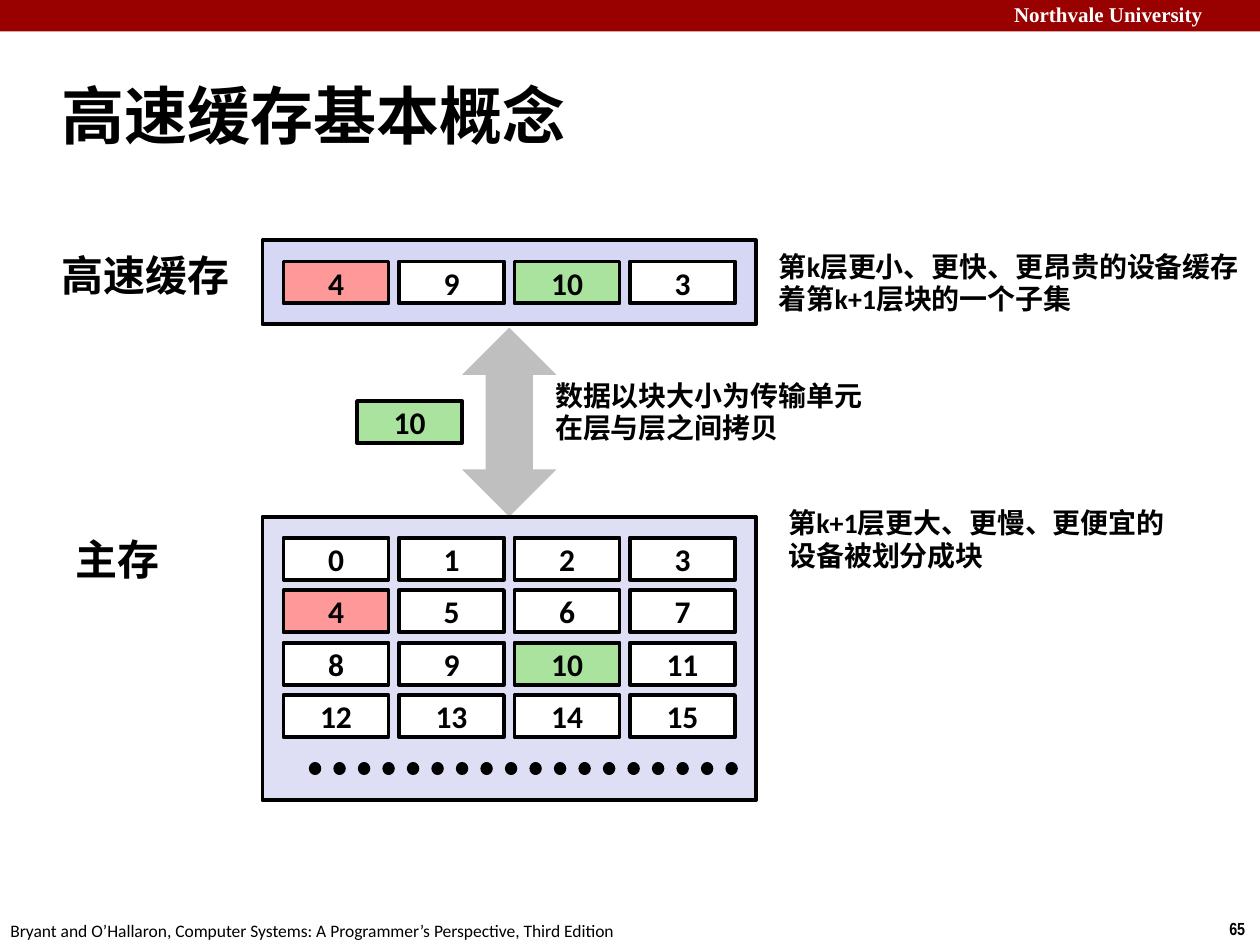
from dataclasses import dataclass

from lxml import etree
from pptx import Presentation
from pptx.dml.color import RGBColor
from pptx.enum.dml import MSO_LINE
from pptx.enum.shapes import MSO_CONNECTOR, MSO_SHAPE
from pptx.enum.text import MSO_ANCHOR, PP_ALIGN
from pptx.oxml.ns import qn
from pptx.util import Pt

RECTANGLE, DOUBLE_ARROW = MSO_SHAPE.RECTANGLE, MSO_SHAPE.UP_DOWN_ARROW
STRAIGHT, ROUND_DOT = MSO_CONNECTOR.STRAIGHT, MSO_LINE.ROUND_DOT
TOP, MIDDLE = MSO_ANCHOR.TOP, MSO_ANCHOR.MIDDLE
LEFT, CENTER = PP_ALIGN.LEFT, PP_ALIGN.CENTER


@dataclass(frozen=True)
class Theme:
    black: str = "000000"
    white: str = "FFFFFF"
    banner: str = "990000"
    arrow: str = "BFBFBF"
    cache: str = "D6D6F5"
    memory: str = "DEDFF5"
    red: str = "FF9999"
    green: str = "A9E39D"
    body_font: str = "Calibri"
    header_font: str = "Times New Roman"
    number_font: str = "Arial Narrow"
    title_size: int = 36
    label_size: int = 24
    block_size: int = 18
    note_size: int = 16
    header_size: int = 12
    footer_size: int = 10
    outline: float = 2.25
    dots: int = 7


THEME = Theme()
EMU_PER_PX = 7620
SLIDE_SIZE = (1200, 900)

HEADER = ("Northvale University", (954, -4, 254, 36))
PAGE_NUMBER = ("65", (1159, 868, 41, 32))
FOOTER = (
    "Bryant and O’Hallaron, Computer Systems: A Programmer’s Perspective, Third Edition",
    (-2, 870, 611, 32),
)
TITLE = ("高速缓存基本概念", (47, 59, 996, 100))
LABELS = [("高速缓存", (47, 232, 184, 60)), ("主存", (60, 502, 104, 60))]
NOTES = [
    ("第k层更小、更快、更昂贵的设备缓存\n着第k+1层块的一个子集", (730, 232, 463, 76)),
    ("数据以块大小为传输单元\n在层与层之间拷贝", (517, 356, 372, 74)),
    ("第k+1层更大、更慢、更便宜的\n设备被划分成块", (739, 476, 383, 76)),
]

CACHE_BLOCKS = [[4, 9, 10, 3]]
MEMORY_BLOCKS = [[0, 1, 2, 3], [4, 5, 6, 7], [8, 9, 10, 11], [12, 13, 14, 15]]
BLOCK_FILLS = {4: THEME.red, 10: THEME.green}
BANNER_BOX = (0, 0, 1200, 30)
CACHE_BOX = (250, 229, 470, 80)
MEMORY_BOX = (250, 492, 470, 270)
ARROW_BOX = (440, 312, 90, 180)
MOVING_BLOCK = (10, 340, 382)
DOTTED_LINE = (300, 732, 700, 732)
BLOCK_SIZE = (100, 40)
BLOCK_GAP = 10
PANEL_PADDING = 20


def px(*lengths):
    return [length * EMU_PER_PX for length in lengths]


def color(value):
    return RGBColor.from_string(value)


def write_text(shape, text, size, font=THEME.body_font, fill=THEME.black, bold=True,
               align=LEFT, anchor=TOP, wrap=True, spacing=None):
    frame = shape.text_frame
    frame.word_wrap = wrap
    frame.vertical_anchor = anchor
    frame.text = text
    for paragraph in frame.paragraphs:
        paragraph.alignment = align
        paragraph.line_spacing = spacing
        for run in paragraph.runs:
            run.font.size = Pt(size)
            run.font.name = font
            run.font.bold = bold
            run.font.color.rgb = color(fill)


def add_text(slide, item, size, **text_format):
    text, box = item
    write_text(slide.shapes.add_textbox(*px(*box)), text, size, **text_format)


def add_box(slide, box, fill, kind=RECTANGLE, outlined=True):
    shape = slide.shapes.add_shape(kind, *px(*box))
    shape.shadow.inherit = False
    shape.fill.solid()
    shape.fill.fore_color.rgb = color(fill)
    if outlined:
        shape.line.color.rgb = color(THEME.black)
        shape.line.width = Pt(THEME.outline)
    else:
        shape.line.fill.background()
    return shape


def add_block(slide, number, left, top):
    fill = BLOCK_FILLS.get(number, THEME.white)
    block = add_box(slide, (left, top, *BLOCK_SIZE), fill)
    write_text(block, str(number), THEME.block_size, align=CENTER, anchor=MIDDLE)


def add_panel(slide, box, fill, rows):
    add_box(slide, box, fill)
    width, height = BLOCK_SIZE
    for row, numbers in enumerate(rows):
        for column, number in enumerate(numbers):
            left = box[0] + PANEL_PADDING + column * (width + BLOCK_GAP)
            top = box[1] + PANEL_PADDING + row * (height + BLOCK_GAP)
            add_block(slide, number, left, top)


def add_dotted_line(slide, ends):
    connector = slide.shapes.add_connector(STRAIGHT, *px(*ends))
    connector.line.color.rgb = color(THEME.black)
    connector.line.width = Pt(THEME.dots)
    connector.line.dash_style = ROUND_DOT
    properties = connector._element.spPr
    properties.find(qn("a:ln")).set("cap", "rnd")
    etree.SubElement(properties, qn("a:effectLst"))


def main():
    presentation = Presentation()
    presentation.slide_width, presentation.slide_height = px(*SLIDE_SIZE)
    slide = presentation.slides.add_slide(presentation.slide_layouts[6])

    add_box(slide, BANNER_BOX, THEME.banner, outlined=False)
    add_text(slide, HEADER, THEME.header_size, font=THEME.header_font, fill=THEME.white)
    add_text(slide, PAGE_NUMBER, THEME.footer_size, font=THEME.number_font, wrap=False)
    add_text(slide, FOOTER, THEME.footer_size, bold=False, wrap=False)
    add_text(slide, TITLE, THEME.title_size, anchor=MIDDLE)

    add_box(slide, ARROW_BOX, THEME.arrow, kind=DOUBLE_ARROW, outlined=False)
    add_panel(slide, MEMORY_BOX, THEME.memory, MEMORY_BLOCKS)
    add_panel(slide, CACHE_BOX, THEME.cache, CACHE_BLOCKS)
    add_block(slide, *MOVING_BLOCK)
    add_dotted_line(slide, DOTTED_LINE)

    for label in LABELS:
        add_text(slide, label, THEME.label_size, wrap=False)
    for note in NOTES:
        add_text(slide, note, THEME.note_size, anchor=MIDDLE, spacing=0.98)

    presentation.save("out.pptx")


if __name__ == "__main__":
    main()
